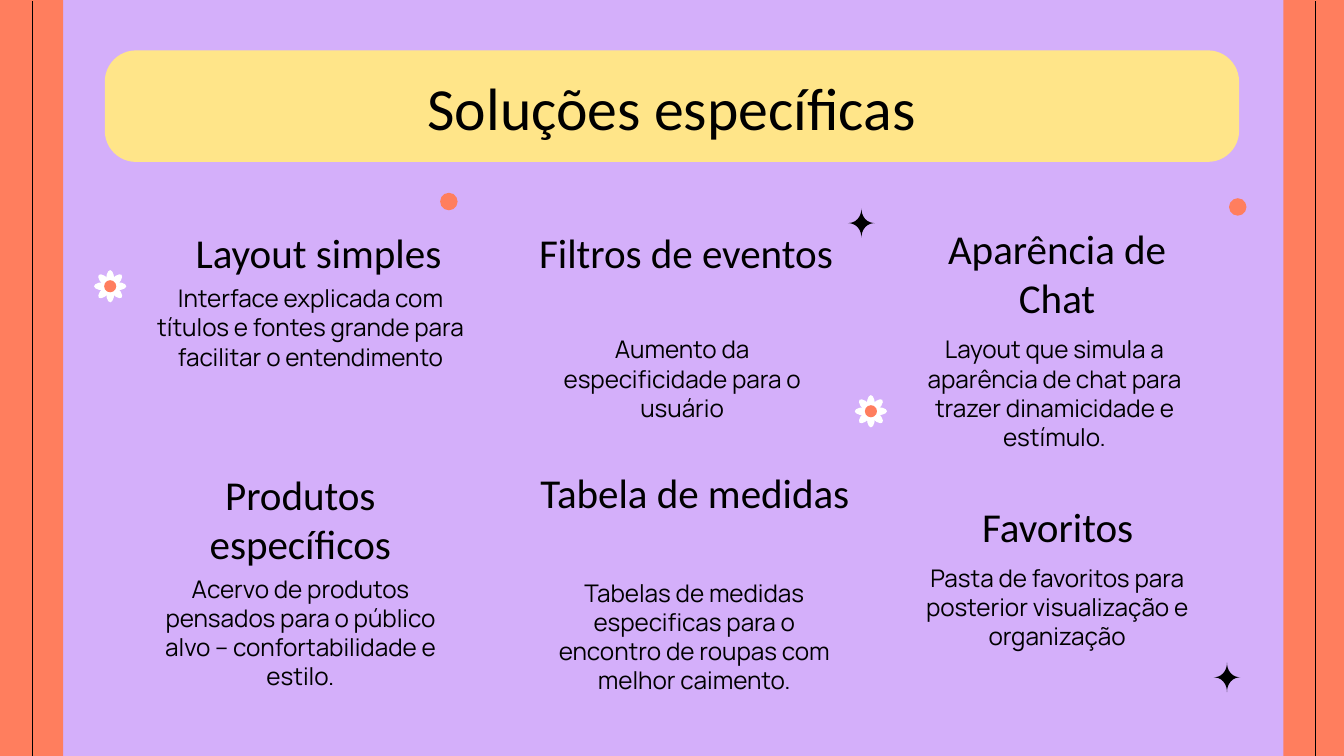
"""Build the "Soluções específicas" slide: a title banner over six captioned solutions."""
import math

import pptx
import pptx.dml.color
import pptx.enum.shapes
import pptx.enum.text
import pptx.oxml.ns
import pptx.util
from lxml import etree

Inches = pptx.util.Inches
RGB = pptx.dml.color.RGBColor.from_string
MSO = pptx.enum.shapes.MSO_SHAPE
C = {"lilac": "D4AFFA", "coral": "FF7E5E", "yellow": "FFE589", "white": "FFFFFF", "black": "000000"}

prs = pptx.Presentation()
prs.slide_width = Inches(10)
prs.slide_height = Inches(10) * 9 // 16
s = prs.slides.add_slide(prs.slide_layouts[5])
s.background.fill.solid()
s.background.fill.fore_color.rgb = RGB(C["lilac"])


def add_filled(kind, cx, cy, w, h, color):
    sp = s.shapes.add_shape(kind, Inches(cx - w / 2), Inches(cy - h / 2), Inches(w), Inches(h))
    sp.shadow.inherit = False
    sp.fill.solid()
    sp.fill.fore_color.rgb = RGB(C[color])
    sp.line.fill.background()
    return sp


def set_text(sp, text, size, font, anchor):
    tf = sp.text_frame
    tf.text = text
    tf.word_wrap = True
    tf.auto_size = pptx.enum.text.MSO_AUTO_SIZE.NONE
    tf.vertical_anchor = anchor
    tf.margin_left = tf.margin_right = tf.margin_top = tf.margin_bottom = Inches(0.1)
    p = tf.paragraphs[0]
    p.alignment = pptx.enum.text.PP_ALIGN.CENTER
    r = p.runs[0]
    r.font.size = pptx.util.Pt(size)
    r.font.name = font
    r.font.color.rgb = RGB(C["black"])


for left, line_x in [(0, 0.24), (9.55, 9.79)]:
    band = add_filled(MSO.RECTANGLE, left + 0.47 / 2, 5.63 / 2, 0.47, 5.63, "coral")
    line = s.shapes.add_connector(pptx.enum.shapes.MSO_CONNECTOR.STRAIGHT,
                                  Inches(line_x), prs.slide_height, Inches(line_x), Inches(0.01))
    line.line.color.rgb = RGB(C["black"])
    line.line.width = pptx.util.Pt(0.75)
    etree.SubElement(line._element.spPr, pptx.oxml.ns.qn("a:effectLst"))

for cx, cy in [(0.82, 2.13), (6.48, 3.06)]:
    for angle in range(0, 360, 45):
        a = math.radians(angle)
        petal = add_filled(MSO.OVAL, cx + 0.05 * math.cos(a), cy + 0.05 * math.sin(a), 0.14, 0.06, "white")
        petal.rotation = angle
    add_filled(MSO.OVAL, cx, cy, 0.09, 0.09, "coral")

for cx, cy in [(9.21, 1.54), (3.34, 1.5)]:
    add_filled(MSO.OVAL, cx, cy, 0.13, 0.13, "coral")

for cx, cy in [(9.13, 5.04), (6.41, 1.66)]:
    points = []
    for angle in range(0, 360, 9):
        x, y = math.cos(math.radians(angle)), math.sin(math.radians(angle))
        points.append((Inches(cx + math.copysign(0.1 * abs(x) ** 3.7, x)),
                       Inches(cy + math.copysign(0.11 * abs(y) ** 3.7, y))))
    builder = s.shapes.build_freeform(*points[0])
    builder.add_line_segments(points[1:], close=True)
    star = builder.convert_to_shape()
    star.shadow.inherit = False
    star.fill.solid()
    star.fill.fore_color.rgb = RGB(C["black"])
    star.line.fill.background()

banner = add_filled(MSO.ROUNDED_RECTANGLE, 5, 0.79, 8.44, 0.83, "yellow")
banner.adjustments[0] = 0.28
title = s.shapes.title
title.left, title.top, title.width, title.height = Inches(0.78), Inches(0.48), Inches(8.44), Inches(0.63)
set_text(title, "Soluções específicas", 32, "Calibri", pptx.enum.text.MSO_ANCHOR.MIDDLE)
s.shapes._spTree.append(title._element)

solutions = [
    ("Layout simples", (1.01, 1.59, 2.72),
     "Interface explicada com títulos e fontes grande para facilitar o entendimento", (0.98, 2.01, 2.66)),
    ("Filtros de eventos", (3.9, 1.59, 2.41),
     "Aumento da especificidade para o usuário", (3.9, 2.39, 2.35)),
    ("Aparência de Chat", (6.69, 1.56, 2.35),
     "Layout que simula a aparência de chat para trazer dinamicidade e estímulo.", (6.67, 2.39, 2.35)),
    ("Produtos específicos", (1.06, 3.39, 2.35),
     "Acervo de produtos pensados para o público alvo – confortabilidade e estilo.", (1.06, 4.17, 2.35)),
    ("Tabela de medidas", (3.81, 3.38, 2.72),
     "Tabelas de medidas especificas para o encontro de roupas com melhor caimento.", (3.99, 4.2, 2.35)),
    ("Favoritos", (6.51, 3.63, 2.72),
     "Pasta de favoritos para posterior visualização e organização", (6.69, 4.09, 2.35)),
]
for heading, heading_box, body, body_box in solutions:
    for text, (x, y, w), h, size, font in [(heading, heading_box, 0.42, 22, "Calibri"),
                                           (body, body_box, 0.93, 13, "Manrope")]:
        box = s.shapes.add_textbox(Inches(x), Inches(y), Inches(w), Inches(h))
        set_text(box, text, size, font, pptx.enum.text.MSO_ANCHOR.TOP)

prs.save("out.pptx")
